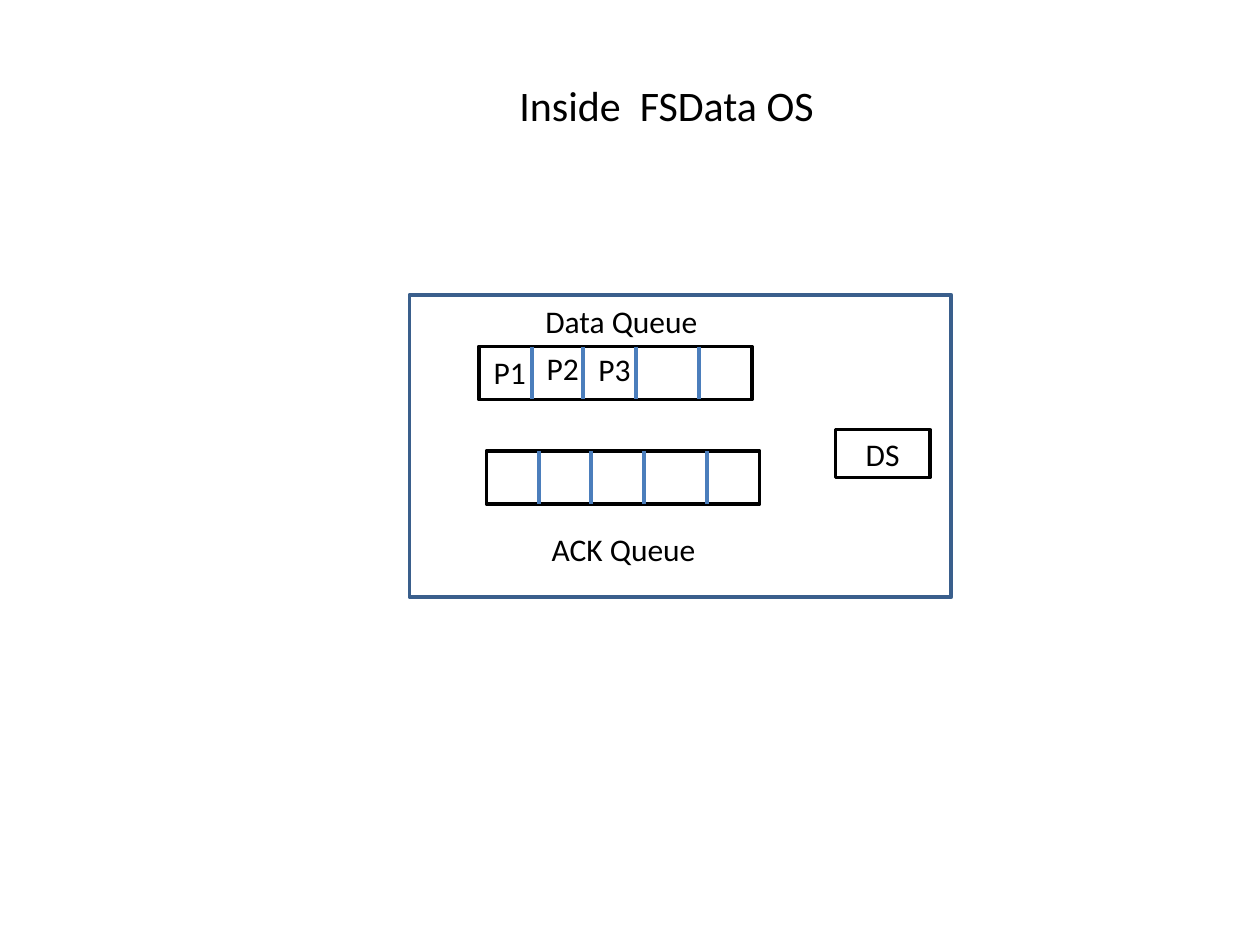
from dataclasses import dataclass

from lxml import etree
from pptx import Presentation
from pptx.dml.color import RGBColor
from pptx.enum.shapes import MSO_CONNECTOR, MSO_SHAPE
from pptx.enum.text import MSO_ANCHOR, MSO_AUTO_SIZE, PP_ALIGN
from pptx.oxml.ns import qn
from pptx.util import Inches, Pt

PROCESS = MSO_SHAPE.FLOWCHART_PROCESS
STRAIGHT = MSO_CONNECTOR.STRAIGHT
TOP, MIDDLE = MSO_ANCHOR.TOP, MSO_ANCHOR.MIDDLE
LEFT, CENTER = PP_ALIGN.LEFT, PP_ALIGN.CENTER
FIT_SHAPE, NO_FIT = MSO_AUTO_SIZE.SHAPE_TO_FIT_TEXT, MSO_AUTO_SIZE.NONE
TITLE_ONLY = 5


@dataclass(frozen=True)
class Theme:
    """Colours, font and sizes of the slide."""
    black: RGBColor = RGBColor(0x00, 0x00, 0x00)
    white: RGBColor = RGBColor(0xFF, 0xFF, 0xFF)
    frame: RGBColor = RGBColor(0x3A, 0x5F, 0x8C)
    divider: RGBColor = RGBColor(0x4B, 0x7E, 0xBC)
    font: str = "Calibri"
    title_size: Pt = Pt(24)
    body_size: Pt = Pt(18)
    box_line: Pt = Pt(2)
    divider_line: Pt = Pt(2.25)


THEME = Theme()
QUEUE_WIDTH, QUEUE_HEIGHT = 2.17, 0.42
DIVIDER_OFFSETS = (0.42, 0.83, 1.25, 1.75)
QUEUES = ((3.8, 2.75), (3.86, 3.58))
LABELS = (
    ("Data Queue", 4.23, 2.35, 1.43),
    ("ACK Queue", 4.28, 4.16, 1.36),
    ("P1", 3.82, 2.75, 0.46),
    ("P2", 4.24, 2.72, 0.46),
    ("P3", 4.65, 2.73, 0.46),
)


def apply_format(target, values):
    """Set each named attribute of the target."""
    for name, value in values.items():
        setattr(target, name, value)


def write_text(shape, text, size, alignment, frame_format):
    """Write one formatted paragraph into a shape."""
    frame = shape.text_frame
    apply_format(frame, frame_format)
    paragraph = frame.paragraphs[0]
    paragraph.alignment = alignment
    run = paragraph.add_run()
    run.text = text
    apply_format(run.font, {"name": THEME.font, "size": size})
    run.font.color.rgb = THEME.black


def add_title(slide, text):
    """Place and fill the title placeholder."""
    title = slide.shapes.title
    apply_format(title, {"left": Inches(3.7), "top": Inches(0.58),
                         "width": Inches(3.18), "height": Inches(0.5)})
    write_text(title, text, THEME.title_size, CENTER,
               {"word_wrap": True, "auto_size": FIT_SHAPE, "vertical_anchor": TOP})


def add_label(slide, text, left, top, width):
    """Add an unwrapped line of text."""
    label = slide.shapes.add_textbox(
        Inches(left), Inches(top), Inches(width), Inches(0.4))
    write_text(label, text, THEME.body_size, LEFT,
               {"word_wrap": False, "auto_size": FIT_SHAPE})


def add_box(shapes, left, top, width, height, color):
    """Add a white outlined process box."""
    box = shapes.add_shape(
        PROCESS, Inches(left), Inches(top), Inches(width), Inches(height))
    box.shadow.inherit = False
    box.fill.solid()
    box.fill.fore_color.rgb = THEME.white
    box.line.color.rgb = color
    box.line.width = THEME.box_line
    return box


def add_divider(shapes, x, top):
    """Add a vertical line between two queue cells."""
    divider = shapes.add_connector(
        STRAIGHT, Inches(x), Inches(top), Inches(x), Inches(top + QUEUE_HEIGHT))
    divider.line.color.rgb = THEME.divider
    divider.line.width = THEME.divider_line
    etree.SubElement(divider._element.spPr, qn("a:effectLst"))


def add_queue(slide, left, top):
    """Add a grouped queue box with its dividers."""
    shapes = slide.shapes.add_group_shape().shapes
    add_box(shapes, left, top, QUEUE_WIDTH, QUEUE_HEIGHT, THEME.black)
    for offset in DIVIDER_OFFSETS:
        add_divider(shapes, left + offset, top)


def main():
    """Build and save the slide."""
    presentation = Presentation()
    presentation.slide_width, presentation.slide_height = Inches(10), Inches(7.5)
    slide = presentation.slides.add_slide(presentation.slide_layouts[TITLE_ONLY])
    add_title(slide, "Inside  FSData OS")
    add_box(slide.shapes, 3.25, 2.34, 4.3, 2.4, THEME.frame)
    for left, top in QUEUES:
        add_queue(slide, left, top)
    streamer = add_box(slide.shapes, 6.63, 3.41, 0.75, 0.38, THEME.black)
    write_text(streamer, "DS", THEME.body_size, CENTER,
               {"word_wrap": True, "auto_size": NO_FIT, "vertical_anchor": MIDDLE})
    for label in LABELS:
        add_label(slide, *label)
    presentation.save("out.pptx")


if __name__ == "__main__":
    main()
